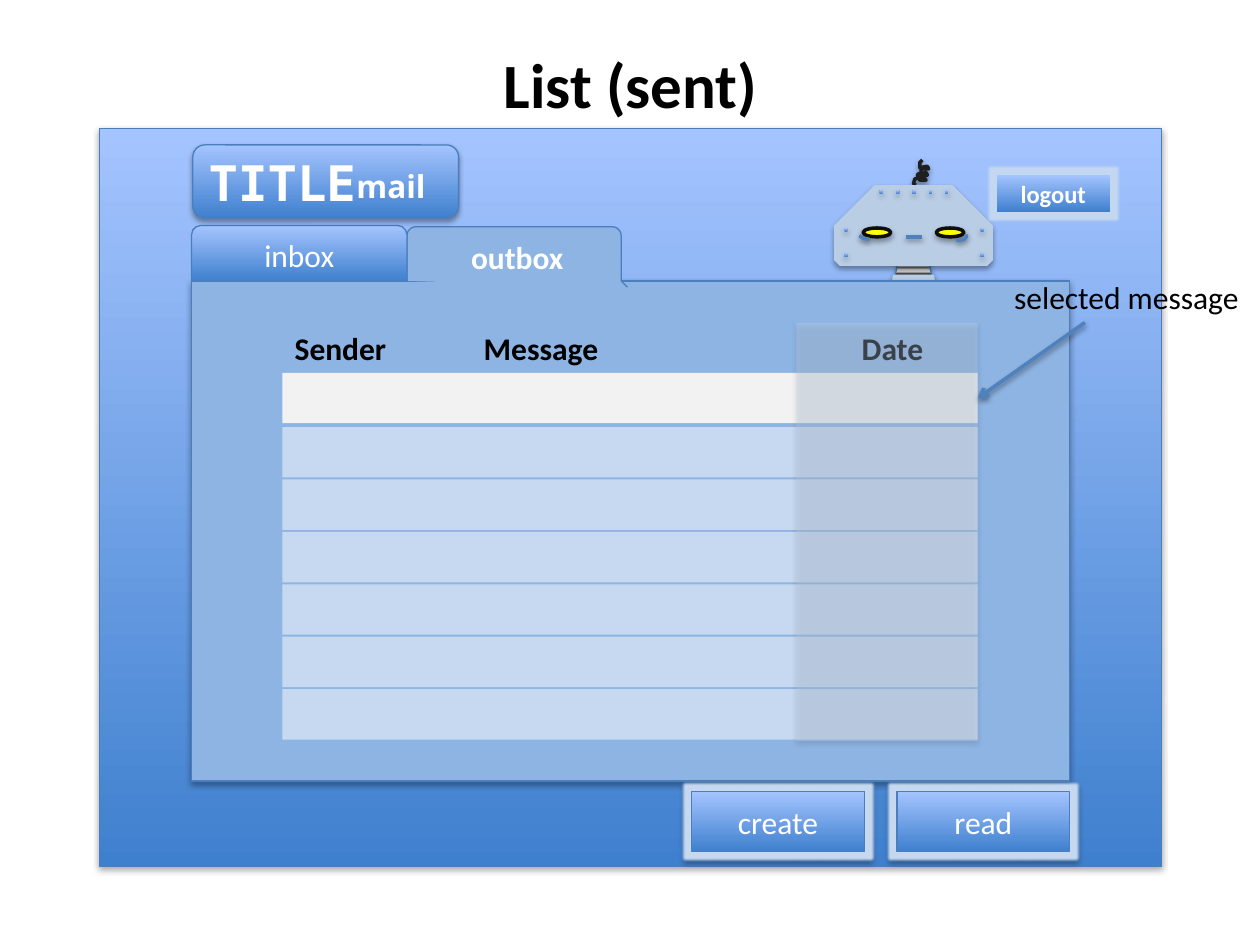
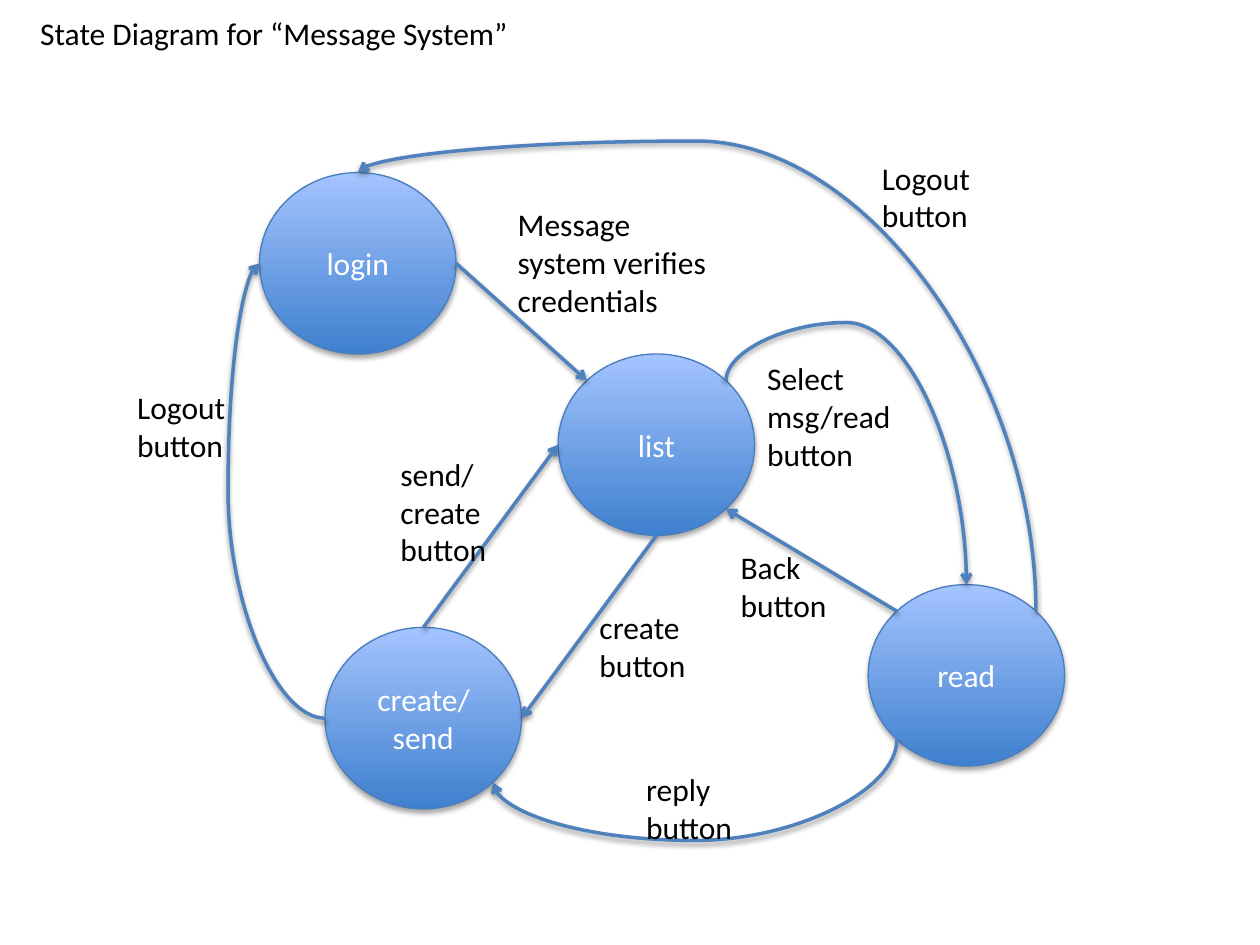
import itertools
import math

import pptx
import pptx.dml.color
import pptx.enum.shapes
import pptx.enum.text
import pptx.oxml
import pptx.oxml.ns
import pptx.util

SHAPE = pptx.enum.shapes.MSO_SHAPE
CONNECTOR = pptx.enum.shapes.MSO_CONNECTOR
ALIGN = pptx.enum.text.PP_ALIGN
ANCHOR = pptx.enum.text.MSO_ANCHOR
COLOURS = {
    "deep": "3F80CE", "light": "A4C4FF", "edge": "4B7EBC", "arrow": "4F81BD",
    "panel": "8EB4E3", "row": "C6D9F1", "selected": "F2F2F2", "metal": "B9CDE5",
    "eye": "FFFF00", "rim": "0D0D0D", "antenna": "1F1F1F",
    "ink": "000000", "white": "FFFFFF",
}
BLUE = [(0, COLOURS["deep"]), (100, COLOURS["light"])]
CHROME = [(0, "FFFFFF"), (7, "1F1F1F"), (14, "FFFFFF"), (21, "636363"), (28, "CFCFCF"),
          (35, "CFCFCF"), (42, "1F1F1F"), (49, "FFFFFF"), (55, "7F7F7F")]
SOFT = (35, 1.8)        # shadow of a shape: opacity in percent, distance in points
LINE_SOFT = (38, 1.6)   # shadow of a line
# The slide is a grid of 10 columns by 7.5 rows of square cells
COLUMNS, ROWS = 10, 7.5
CELL = pptx.util.Inches(1)
OVAL = (1.56, 1.44)


def cells(*counts):
    return [round(count * CELL) for count in counts]


def rgb(name):
    return pptx.dml.color.RGBColor.from_string(COLOURS[name])


def element(parent, tag, **attributes):
    child = pptx.oxml.parse_xml(f"<a:{tag} {pptx.oxml.ns.nsdecls('a')}/>")
    for key, value in attributes.items():
        child.set(key, str(value))
    parent.append(child)
    return child


def colour(parent, value, opacity=100):
    element(element(parent, "srgbClr", val=value), "alpha", val=opacity * 1000)


# Fills, lines and effects
def paint_gradient(shape, stops, angle):
    shape.fill.gradient()
    shape.fill.gradient_angle = angle
    stop_list = shape._element.spPr.find(".//" + pptx.oxml.ns.qn("a:gsLst"))
    for stop in list(stop_list):
        stop_list.remove(stop)
    for position, value in stops:
        colour(element(stop_list, "gs", pos=position * 1000), value)


def add_effects(shape, shadow=None, glow=None):
    properties = shape._element.spPr
    for old in properties.findall(pptx.oxml.ns.qn("a:effectLst")):
        properties.remove(old)
    effects = element(properties, "effectLst")
    if glow:
        colour(element(effects, "glow", rad=pptx.util.Pt(glow)), COLOURS["row"])
    if shadow:
        opacity, distance = shadow
        cast = element(effects, "outerShdw", blurRad=pptx.util.Pt(3.1),
                       dist=pptx.util.Pt(distance), dir=5400000, rotWithShape=0)
        colour(cast, COLOURS["ink"], opacity)


def style(shape, fill="blue", edge="edge", width=0.75, shadow=SOFT, glow=None, opacity=100):
    if fill == "blue":
        paint_gradient(shape, BLUE, 90)
    elif fill == "chrome":
        paint_gradient(shape, CHROME, 270)
    elif fill:
        shape.fill.solid()
        shape.fill.fore_color.rgb = rgb(fill)
        if opacity < 100:
            tone = shape._element.spPr.find(".//" + pptx.oxml.ns.qn("a:srgbClr"))
            element(tone, "alpha", val=opacity * 1000)
    else:
        shape.fill.background()
    if edge:
        shape.line.color.rgb = rgb(edge)
        shape.line.width = pptx.util.Pt(width)
    else:
        shape.line.fill.background()
    add_effects(shape, shadow, glow)


# Text
def write(shape, text, size=18, bold=False, font="Calibri", ink="white",
          align=ALIGN.CENTER, anchor=ANCHOR.MIDDLE, wrap=True):
    frame = shape.text_frame
    frame.word_wrap = wrap
    frame.vertical_anchor = anchor
    form = {"size": pptx.util.Pt(size), "bold": bold, "name": font}
    for number, line in enumerate(text.split("\n")):
        para = frame.add_paragraph() if number else frame.paragraphs[0]
        para.alignment = align
        span = para.add_run()
        span.text = line
        for key, value in form.items():
            setattr(span.font, key, value)
        span.font.color.rgb = rgb(ink)


def add_label(page, area, text, **form):
    box = page.shapes.add_textbox(*cells(*area))
    write(box, text, **{"ink": "ink", "align": ALIGN.LEFT, "anchor": ANCHOR.TOP, **form})
    return box


# Shapes and lines
def add_block(page, kind, area, adjust=(), **look):
    shape = page.shapes.add_shape(kind, *cells(*area))
    for number, value in enumerate(adjust):
        shape.adjustments[number] = value
    style(shape, **look)
    return shape


def add_outline(page, points, **look):
    start, *rest = [cells(*point) for point in points]
    builder = page.shapes.build_freeform(*start)
    builder.add_line_segments(rest, close=False)
    shape = builder.convert_to_shape()
    style(shape, **look)
    return shape


def add_line(page, start, end, kind=CONNECTOR.STRAIGHT, arrow=True):
    line = page.shapes.add_connector(kind, *cells(*start, *end))
    line.line.color.rgb = rgb("arrow")
    line.line.width = pptx.util.Pt(2)
    if arrow:
        element(line.line._get_or_add_ln(), "tailEnd", type="arrow")
    add_effects(line, LINE_SOFT)
    return line


def add_curve(page, start, end, turn, reach):
    """Curve that swings out to `reach`, in a frame turned by `turn` degrees."""
    (x1, y1), (x2, y2) = start, end
    sine, cosine = math.sin(math.radians(turn)), math.cos(math.radians(turn))
    across = ((x2 - x1) * cosine + (y2 - y1) * sine) / 2
    down = ((y2 - y1) * cosine - (x2 - x1) * sine) / 2
    x, y = (x1 + x2) / 2, (y1 + y2) / 2
    line = add_line(page, (x - across, y - down), (x + across, y + down), CONNECTOR.CURVE)
    properties = line._element.spPr
    properties.find(pptx.oxml.ns.qn("a:xfrm")).set("rot", str(turn * 60000))
    axis = 1 if turn % 180 else 0
    bend = (reach - start[axis]) / (end[axis] - start[axis])
    guides = properties.find(".//" + pptx.oxml.ns.qn("a:avLst"))
    element(guides, "gd", name="adj1", fmla=f"val {round(bend * 100000)}")


# Mail window
def add_robot(page):
    add_block(page, SHAPE.TRAPEZOID, (7.07, 2.07, 0.36, 0.25), fill="chrome")
    add_block(page, SHAPE.TRAPEZOID, (7.07, 2.18, 0.36, 0.12), [0.135], fill="metal", edge=None)
    antenna = [(7.32, 1.27), (7.3, 1.29), (7.3, 1.33), (7.31, 1.34), (7.37, 1.34), (7.36, 1.32),
               (7.31, 1.33), (7.31, 1.38), (7.32, 1.4), (7.36, 1.39), (7.35, 1.37), (7.29, 1.38),
               (7.28, 1.39), (7.3, 1.43), (7.35, 1.43), (7.34, 1.42), (7.32, 1.41), (7.26, 1.42),
               (7.25, 1.46), (7.27, 1.47)]
    add_outline(page, antenna, fill=None, edge="antenna", width=2, shadow=LINE_SOFT)
    add_block(page, SHAPE.SNIP_2_SAME_RECTANGLE, (6.62, 1.47, 1.26, 0.64), [0.5, 0.07],
              fill="metal", edge=None)
    for left in (6.85, 7.43):
        add_block(page, SHAPE.OVAL, (left, 1.81, 0.22, 0.07), fill="eye", edge="rim", width=2)
    # Mouth and its corners
    add_line(page, (7.19, 1.88), (7.32, 1.88), arrow=False)
    for corner in ([(6.82, 1.87), (6.85, 1.89), (6.9, 1.9)],
                   [(7.59, 1.91), (7.65, 1.9), (7.67, 1.88), (7.67, 1.86)]):
        add_outline(page, corner, fill=None, edge="arrow", width=2, shadow=LINE_SOFT)
    # Rivets on the brow, the cheeks and the neck
    rivets = [(6.98 + 0.13 * number, 1.51) for number in range(5)]
    rivets += itertools.product((6.7, 7.78), (1.81, 2.01))
    rivets += [(7.11, 2.25), (7.37, 2.25)]
    for left, top in rivets:
        add_block(page, SHAPE.OVAL, (left, top, 0.03, 0.03), edge=None)


def add_tabs(page):
    left, right, top, base, radius = 3.23, 4.93, 1.8, 2.23, 0.07

    def corner(x, first):
        angles = [math.radians(first + 15 * step) for step in range(7)]
        return [(x + radius * math.cos(a), top + radius + radius * math.sin(a)) for a in angles]

    outline = [(left, base), *corner(left + radius, 180), *corner(right - radius, 270),
               (right, base), (right + 0.05, base + 0.05)]
    write(add_outline(page, outline, fill="panel", shadow=None), "outbox", bold=True)
    inbox = add_block(page, SHAPE.ROUND_2_SAME_RECTANGLE, (1.52, 1.79, 1.71, 0.44), shadow=None)
    write(inbox, "inbox")


def add_message_list(page):
    left, width, height = 2.24, 5.52, 0.4
    flat = {"edge": None, "shadow": None}
    selected = add_block(page, SHAPE.RECTANGLE, (left, 2.96, width, height),
                         fill="selected", **flat)
    for number in range(6):
        add_block(page, SHAPE.RECTANGLE, (left, 3.39 + 0.416 * number, width, height),
                  fill="row", **flat)
    header = add_label(page, (left, 2.56, width, height), "Sender\tMessage\tDate", bold=True)
    stops = element(header.text_frame.paragraphs[0]._p.get_or_add_pPr(), "tabLst")
    for stop in cells(1.5, 4.5):
        element(stops, "tab", pos=stop, algn="l")
    return selected


def build_list_page(page):
    add_block(page, SHAPE.RECTANGLE, (0.79, 1.02, 8.43, 5.86))
    add_robot(page)
    add_block(page, SHAPE.RECTANGLE, (1.52, 2.23, 6.97, 3.97), fill="panel")
    add_tabs(page)
    for left, name in ((5.49, "create"), (7.12, "read")):
        write(add_block(page, SHAPE.RECTANGLE, (left, 6.28, 1.37, 0.48), glow=3), name)
    logout = add_block(page, SHAPE.RECTANGLE, (7.91, 1.39, 0.9, 0.29),
                       edge=None, shadow=None, glow=3)
    write(logout, "logout", size=14, bold=True)
    add_label(page, (1.52, 0.31, 6.97, 0.71), "List (sent)", size=36, bold=True,
              align=ALIGN.CENTER)
    selected = add_message_list(page)
    # Name plate
    plate = add_block(page, SHAPE.ROUNDED_RECTANGLE, (1.53, 1.15, 2.11, 0.58))
    write(plate, "TITLE", size=28, bold=True, font="DejaVu Sans Mono", align=ALIGN.LEFT)
    add_label(page, (2.73, 1.28, 1.01, 0.4), "mail", bold=True, font="Noto Sans", ink="white")
    # Date column and pointer to the selected row
    add_block(page, SHAPE.RECTANGLE, (6.32, 2.56, 1.44, 3.32), fill="row", edge=None, opacity=30)
    add_label(page, (7.95, 2.16, 2.01, 0.4), "selected message", wrap=False)
    pointer = add_line(page, (8.61, 2.56), (7.76, 3.16))
    pointer.end_connect(selected, 3)


# State diagram
def build_state_page(page):
    states = {"login": (2.06, 1.37), "list": (4.43, 2.81),
              "create/send": (2.58, 4.98), "read": (6.89, 4.64)}
    for name, corner in states.items():
        write(add_block(page, SHAPE.OVAL, (*corner, *OVAL)), name)

    def port(name, degrees):
        """Point on the rim of a state, clockwise from its right side."""
        angle = math.radians(degrees)
        return (states[name][0] + OVAL[0] / 2 * (1 + math.cos(angle)),
                states[name][1] + OVAL[1] / 2 * (1 + math.sin(angle)))

    for source, leave, target, arrive in (
            ("login", 0, "list", 225), ("create/send", 270, "list", 180),
            ("list", 90, "create/send", 0), ("read", 225, "list", 45)):
        add_line(page, port(source, leave), port(target, arrive))
    for source, leave, target, arrive, turn, reach in (
            ("create/send", 180, "login", 180, 180, 1.81),
            ("list", 315, "read", 270, 270, 2.56),
            ("read", 315, "login", 270, 270, 1.12),
            ("read", 135, "create/send", 45, 90, 6.67)):
        add_curve(page, port(source, leave), port(target, arrive), turn, reach)
    for left, top, width, text in (
            (4.01, 1.58, 1.82, "Message system verifies credentials"),
            (0.99, 3.03, 1.07, "Logout\nbutton"),
            (3.08, 3.56, 1.07, "send/create\nbutton"),
            (4.66, 4.78, 1.07, "create\nbutton"),
            (5.78, 4.3, 1.07, "Back\nbutton"),
            (5.99, 2.8, 1.44, "Select msg/read button"),
            (6.9, 1.21, 1.07, "Logout\nbutton"),
            (5.03, 6.06, 1.07, "reply\nbutton")):
        add_label(page, (left, top, width, 0.71), text)
    add_label(page, (0.22, 0.06, 3.98, 0.4), "State Diagram for “Message System”", wrap=False)


def main():
    deck = pptx.Presentation()
    deck.slide_width, deck.slide_height = cells(COLUMNS, ROWS)
    for build in (build_list_page, build_state_page):
        build(deck.slides.add_slide(deck.slide_layouts[6]))
    deck.save("out.pptx")


if __name__ == "__main__":
    main()
